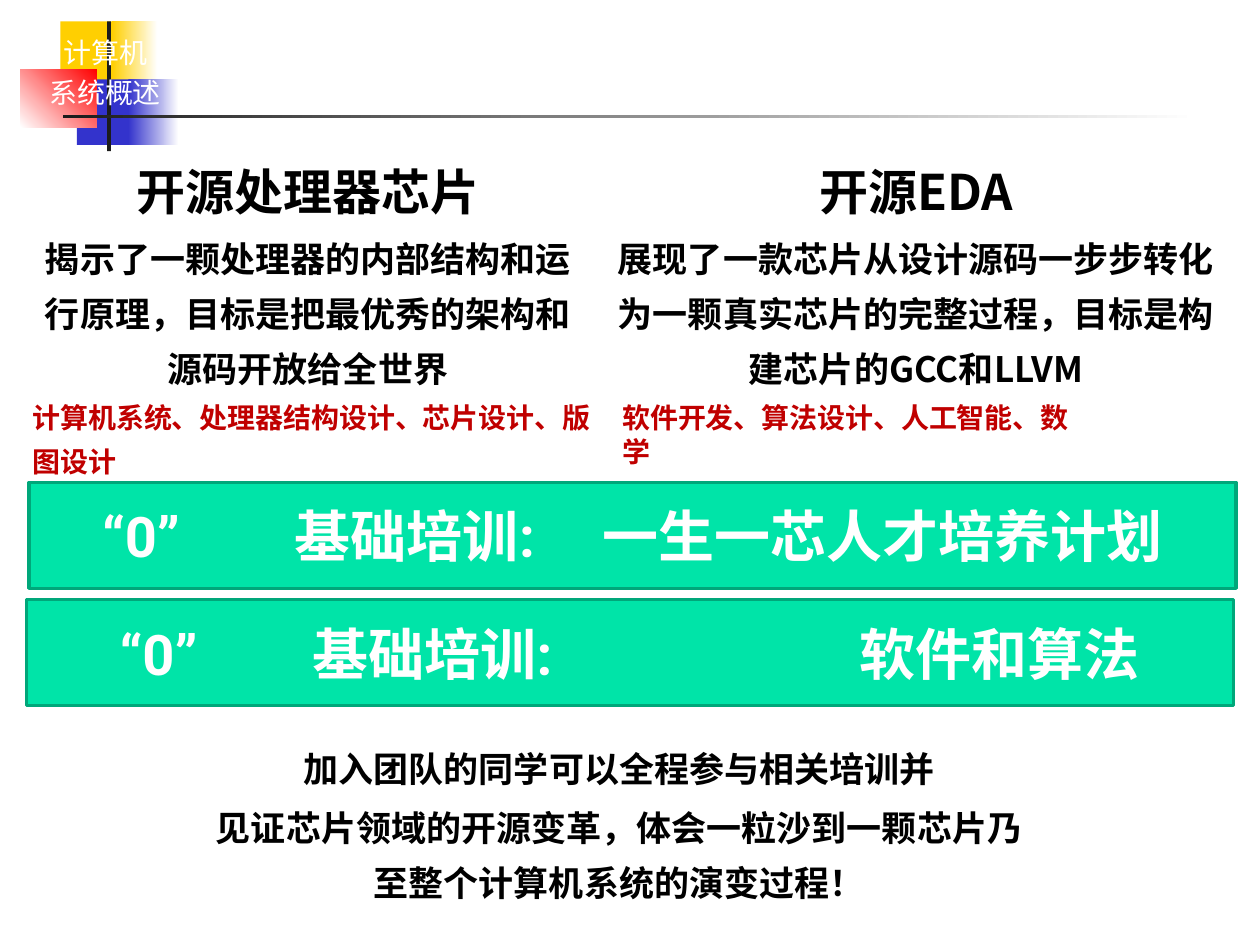
import pptx
import pptx.dml.color
import pptx.enum.shapes
import pptx.enum.text
import pptx.util
import lxml.etree
from pptx.util import Inches

ALIGN = pptx.enum.text.PP_ALIGN

THEME = {
    "body_font": "Noto Sans CJK SC", "label_font": "Roboto",
    "black": "000000", "white": "FFFFFF", "accent": "C00000",
    "banner": "00E4A8", "banner_edge": "00A77A",
    "yellow": "FFCF01", "blue": "3333CC", "red": "FF0000", "ink": "1C1C1C",
    "title": 28, "body": 20, "small": 16, "banner_text": 32,
}

# Box, start colour, end colour (None for solid), gradient angle
ORNAMENTS = [
    ((0.48, 0.17, 0.48, 0.52), "yellow", None, 0),
    ((0.89, 0.17, 0.36, 0.52), "yellow", "white", 0),
    ((0.61, 0.63, 0.46, 0.52), "blue", None, 0),
    ((1.02, 0.63, 0.40, 0.52), "blue", "white", 0),
    ((0.16, 0.55, 0.61, 0.46), "white", "red", 45),
    ((0.85, 0.17, 0.03, 1.03), "ink", None, 0),
    ((0.50, 0.91, 9.00, 0.03), "ink", "white", 0),
]

CHAPTER = ["计算机", "系统概述"]

# Box, then (text, size) for each paragraph
STATEMENTS = [
    ((0.23, 1.09, 4.43, 2.05), [
        ("开源处理器芯片", "title"),
        ("揭示了一颗处理器的内部结构和运行原理，目标是把最优秀的架构和源码开放给全世界", "body")]),
    ((4.77, 1.09, 5.00, 2.05), [
        ("开源EDA", "title"),
        ("展现了一款芯片从设计源码一步步转化为一颗真实芯片的完整过程，目标是构建芯片的GCC和LLVM", "body")]),
    ((1.48, 5.78, 6.87, 1.44), [
        ("加入团队的同学可以全程参与相关培训并", "body"),
        ("见证芯片领域的开源变革，体会一粒沙到一颗芯片乃至整个计算机系统的演变过程！", "body")]),
]

# Box, text, line spacing, space after
SKILLS = [
    ((0.16, 3.05, 4.76, 0.80), "计算机系统、处理器结构设计、芯片设计、版图设计", 1.3, 3),
    ((4.84, 3.13, 3.82, 0.64), "软件开发、算法设计、人工智能、数学", 1.0, 0),
]

# Box, left inset, tab stops from the inset, text parts
BANNERS = [
    ((0.23, 3.83, 9.58, 0.84), 0.58, (1.53, 3.97), ("“0”", "基础培训:", "一生一芯人才培养计划")),
    ((0.21, 4.76, 9.58, 0.84), 0.74, (1.53, 5.87), ("“0”", "基础培训:", "软件和算法")),
]


def rgb(name):
    return pptx.dml.color.RGBColor.from_string(THEME[name])


def add_rectangle(slide, box):
    shape = slide.shapes.add_shape(
        pptx.enum.shapes.MSO_SHAPE.RECTANGLE, *map(Inches, box))
    shape.shadow.inherit = False
    return shape


def add_text_frame(slide, box):
    frame = slide.shapes.add_textbox(*map(Inches, box)).text_frame
    frame.word_wrap = True
    return frame


def add_ornament(slide, box, start, end, angle):
    shape = add_rectangle(slide, box)
    shape.line.fill.background()
    if end is None:
        shape.fill.solid()
        shape.fill.fore_color.rgb = rgb(start)
        return
    shape.fill.gradient()
    shape.fill.gradient_angle = angle
    for stop, color, position in zip(shape.fill.gradient_stops, (start, end), (0, 1)):
        stop.color.rgb = rgb(color)
        stop.position = position


def next_paragraph(frame, index):
    return frame.paragraphs[0] if index == 0 else frame.add_paragraph()


def add_run(paragraph, text, size, color, font="body_font", bold=True):
    run = paragraph.add_run()
    run.text = text
    run.font.size = pptx.util.Pt(THEME[size])
    run.font.bold = bold
    run.font.color.rgb = rgb(color)
    run.font.name = THEME[font]
    properties = run._r.get_or_add_rPr()
    properties.set("lang", "zh-CN")
    east_asian = lxml.etree.SubElement(properties, pptx.oxml.ns.qn("a:ea"))
    east_asian.set("typeface", THEME[font])


def add_chapter(slide):
    frame = add_text_frame(slide, (0.25, 0.23, 1.17, 0.69))
    for index, text in enumerate(CHAPTER):
        paragraph = next_paragraph(frame, index)
        paragraph.alignment = ALIGN.CENTER
        if index:
            paragraph.space_before = pptx.util.Pt(4)
        add_run(paragraph, text, "small", "white", "label_font", bold=False)


def add_statement(slide, box, paragraphs):
    frame = add_text_frame(slide, box)
    for index, (text, size) in enumerate(paragraphs):
        paragraph = next_paragraph(frame, index)
        paragraph.alignment = ALIGN.CENTER
        paragraph.line_spacing = 1.3
        paragraph.space_after = pptx.util.Pt(3)
        add_run(paragraph, text, size, "black")


def add_skills(slide, box, text, spacing, after):
    paragraph = add_text_frame(slide, box).paragraphs[0]
    paragraph.line_spacing = spacing
    paragraph.space_after = pptx.util.Pt(after)
    add_run(paragraph, text, "small", "accent")


def add_banner(slide, box, inset, stops, parts):
    shape = add_rectangle(slide, box)
    shape.fill.solid()
    shape.fill.fore_color.rgb = rgb("banner")
    shape.line.color.rgb = rgb("banner_edge")
    shape.line.width = pptx.util.Pt(2)
    frame = shape.text_frame
    frame.word_wrap = True
    frame.margin_left = Inches(inset)
    frame.vertical_anchor = pptx.enum.text.MSO_ANCHOR.MIDDLE
    paragraph = frame.paragraphs[0]
    paragraph.alignment = ALIGN.LEFT
    tabs = lxml.etree.SubElement(
        paragraph._p.get_or_add_pPr(), pptx.oxml.ns.qn("a:tabLst"))
    for stop in stops:
        lxml.etree.SubElement(tabs, pptx.oxml.ns.qn("a:tab"),
                              pos=str(int(Inches(stop))), algn="l")
    add_run(paragraph, "\t".join(parts), "banner_text", "white", "label_font")


def main():
    deck = pptx.Presentation()
    deck.slide_width, deck.slide_height = Inches(10), Inches(7.5)
    slide = deck.slides.add_slide(deck.slide_layouts[6])
    for ornament in ORNAMENTS:
        add_ornament(slide, *ornament)
    add_chapter(slide)
    for statement in STATEMENTS:
        add_statement(slide, *statement)
    for banner in BANNERS:
        add_banner(slide, *banner)
    for skills in SKILLS:
        add_skills(slide, *skills)
    deck.save("out.pptx")


if __name__ == "__main__":
    main()
